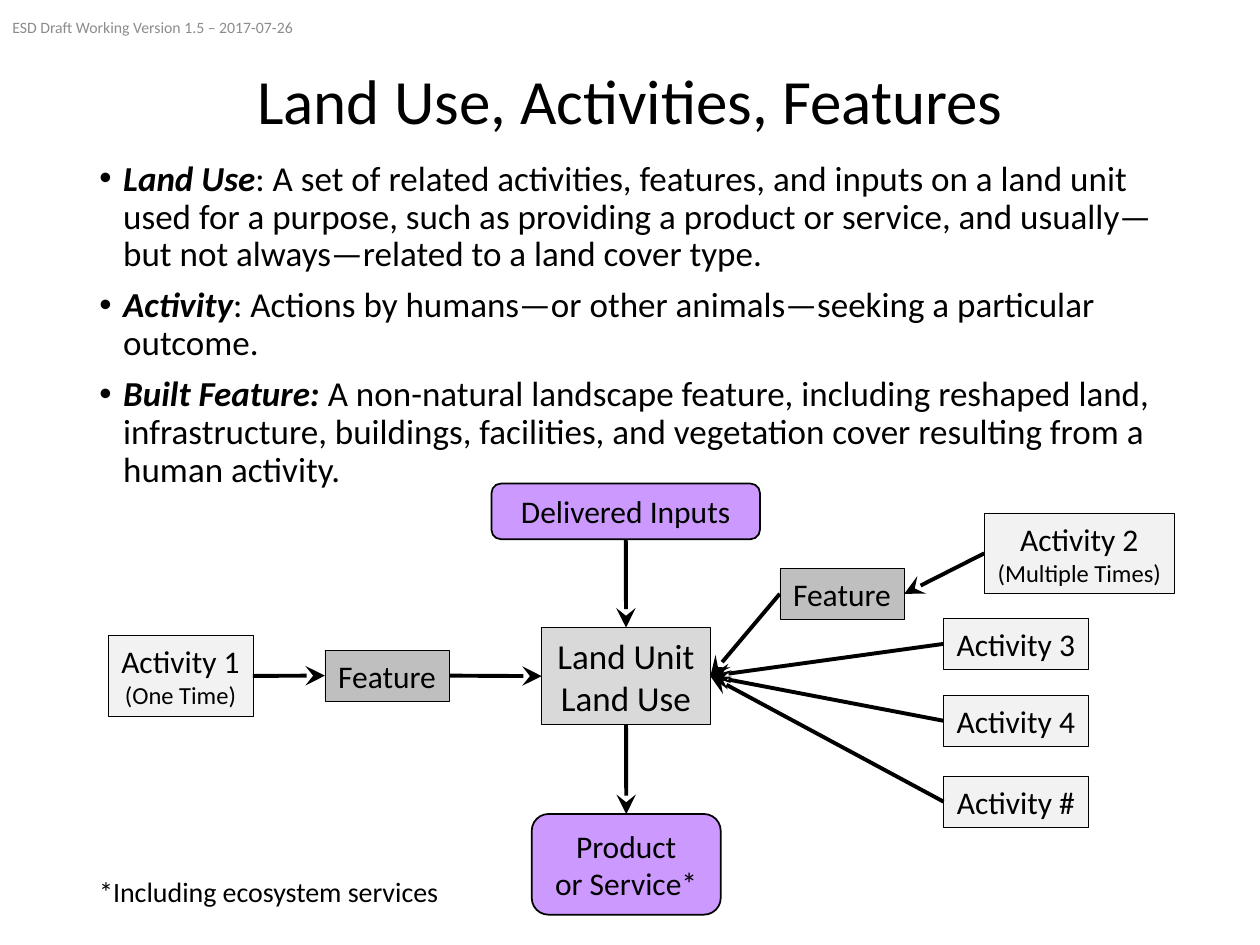
from lxml import etree
from pptx import Presentation
from pptx.dml.color import RGBColor
from pptx.enum.shapes import MSO_CONNECTOR, MSO_SHAPE
from pptx.enum.text import MSO_ANCHOR, MSO_AUTO_SIZE, PP_ALIGN
from pptx.oxml.ns import qn
from pptx.util import Cm, Pt

RECT, ROUNDED = MSO_SHAPE.RECTANGLE, MSO_SHAPE.ROUNDED_RECTANGLE
STRAIGHT = MSO_CONNECTOR.STRAIGHT
MIDDLE = MSO_ANCHOR.MIDDLE
FIT_SHAPE, NO_FIT = MSO_AUTO_SIZE.SHAPE_TO_FIT_TEXT, MSO_AUTO_SIZE.NONE
LEFT, CENTER = PP_ALIGN.LEFT, PP_ALIGN.CENTER
TOP_SIDE, LEFT_SIDE, BOTTOM_SIDE, RIGHT_SIDE = range(4)
BLACK, PALE, GRAY, DARK_GRAY, PURPLE = "000000", "F2F2F2", "D9D9D9", "BFBFBF", "CC99FF"


def rgb(color):
    return RGBColor.from_string(color)


def style(paragraph, size, align=LEFT, color=BLACK):
    paragraph.alignment = align
    paragraph.font.name = "Calibri"
    paragraph.font.size = Pt(size)
    paragraph.font.color.rgb = rgb(color)


prs = Presentation()
prs.slide_width, prs.slide_height = Cm(25.4), Cm(19.05)
slide = prs.slides.add_slide(prs.slide_layouts[1])
shapes = slide.shapes

# Title and definitions
title, definitions = slide.placeholders
for placeholder, top, height in ((title, 1.02, 2.16), (definitions, 3.12, 7.19)):
    placeholder.left, placeholder.top = Cm(1.75), Cm(top)
    placeholder.width, placeholder.height = Cm(21.9), Cm(height)
    placeholder.text_frame.auto_size = NO_FIT

title.text_frame.text = "Land Use, Activities, Features"
title.text_frame.vertical_anchor = MIDDLE
heading = title.text_frame.paragraphs[0]
style(heading, 36, CENTER)
heading.line_spacing = 0.9

terms = [
    ("Land Use", ": A set of related activities, features, and inputs on a land unit used for "
     "a purpose, such as providing a product or service, and usually—but not always—related "
     "to a land cover type."),
    ("Activity", ": Actions by humans—or other animals—seeking a particular outcome."),
    ("Built Feature:", " A non-natural landscape feature, including reshaped land, "
     "infrastructure, buildings, facilities, and vegetation cover resulting from a human "
     "activity."),
]
for i, (term, meaning) in enumerate(terms):
    frame = definitions.text_frame
    paragraph = frame.add_paragraph() if i else frame.paragraphs[0]
    style(paragraph, 20)
    paragraph.line_spacing = 0.9
    paragraph.space_before = Pt(7.5)
    properties = paragraph._p.get_or_add_pPr()
    properties.set("marL", str(Cm(0.48)))
    properties.set("indent", str(-Cm(0.48)))
    term_run = paragraph.add_run()
    term_run.text = term
    term_run.font.bold = term_run.font.italic = True
    paragraph.add_run().text = meaning

# Diagram boxes: key, form, fill, line width, left, top, width, height, (text, size) lines
box_rows = [
    ("land", RECT, GRAY, 0.25, 10.92, 12.65, 3.4, 1.96, [("Land Unit", 20), ("Land Use", 20)]),
    ("right feature", RECT, DARK_GRAY, 0.25, 15.72, 11.46, 2.51, 1.02, [("Feature", 18)]),
    ("left feature", RECT, DARK_GRAY, 0.25, 6.55, 13.11, 2.51, 1.02, [("Feature", 18)]),
    ("activity 1", RECT, PALE, 0.25, 2.18, 12.81, 2.92, 1.63,
     [("Activity 1", 18), ("(One Time)", 14)]),
    ("activity 2", RECT, PALE, 0.25, 19.84, 10.34, 3.84, 1.63,
     [("Activity 2", 18), ("(Multiple Times)", 14)]),
    ("activity 3", RECT, PALE, 0.25, 19.02, 12.47, 2.92, 1.02, [("Activity 3", 18)]),
    ("activity 4", RECT, PALE, 0.25, 19.02, 14.02, 2.92, 1.02, [("Activity 4", 18)]),
    ("activity #", RECT, PALE, 0.25, 19.02, 15.65, 2.92, 1.02, [("Activity #", 18)]),
    ("product", ROUNDED, PURPLE, 1, 10.72, 16.41, 3.81, 2.03,
     [("Product", 18), ("or Service*", 18)]),
    ("inputs", ROUNDED, PURPLE, 1, 9.91, 9.75, 5.41, 1.12, [("Delivered Inputs", 18)]),
]
boxes = {}
for key, form, fill, line_width, left, top, width, height, lines in box_rows:
    box = shapes.add_shape(form, Cm(left), Cm(top), Cm(width), Cm(height))
    box.shadow.inherit = False
    box.fill.solid()
    box.fill.fore_color.rgb = rgb(fill)
    box.line.color.rgb = rgb(BLACK)
    box.line.width = Pt(line_width)
    frame = box.text_frame
    frame.text = "\n".join(text for text, size in lines)
    frame.vertical_anchor = MIDDLE
    frame.word_wrap = form == ROUNDED or key == "land"
    frame.auto_size = FIT_SHAPE if form == RECT else NO_FIT
    for paragraph, (text, size) in zip(frame.paragraphs, lines):
        style(paragraph, size, CENTER)
    boxes[key] = box

# Arrows between the boxes
arrows = [
    ("activity 1", RIGHT_SIDE, "left feature", LEFT_SIDE),
    ("left feature", RIGHT_SIDE, "land", LEFT_SIDE),
    ("inputs", BOTTOM_SIDE, "land", TOP_SIDE),
    ("land", BOTTOM_SIDE, "product", TOP_SIDE),
    ("activity 2", LEFT_SIDE, "right feature", RIGHT_SIDE),
    ("right feature", LEFT_SIDE, "land", RIGHT_SIDE),
    ("activity 3", LEFT_SIDE, "land", RIGHT_SIDE),
    ("activity 4", LEFT_SIDE, "land", RIGHT_SIDE),
    ("activity #", LEFT_SIDE, "land", RIGHT_SIDE),
]
for source, source_side, target, target_side in arrows:
    arrow = shapes.add_connector(STRAIGHT, 0, 0, 0, 0)
    arrow.begin_connect(boxes[source], source_side)
    arrow.end_connect(boxes[target], target_side)
    arrow.line.color.rgb = rgb(BLACK)
    arrow.line.width = Pt(2.25)
    etree.SubElement(arrow.line._get_or_add_ln(), qn("a:tailEnd"),
                     type="stealth", w="lg", len="lg")
    etree.SubElement(arrow._element.spPr, qn("a:effectLst"))

# Footnote and version note
notes = [
    ("*Including ecosystem services", 1.75, 17.5, 7.44, 0.94, 16, BLACK),
    ("ESD Draft Working Version 1.5 – 2017-07-26", 0, 0.03, 8.59, 1.02, 9, "8C8C8C"),
]
for text, left, top, width, height, size, color in notes:
    note = shapes.add_textbox(Cm(left), Cm(top), Cm(width), Cm(height))
    note.text_frame.text = text
    note.text_frame.word_wrap = True
    note.text_frame.vertical_anchor = MIDDLE
    style(note.text_frame.paragraphs[0], size, color=color)

prs.save("out.pptx")
